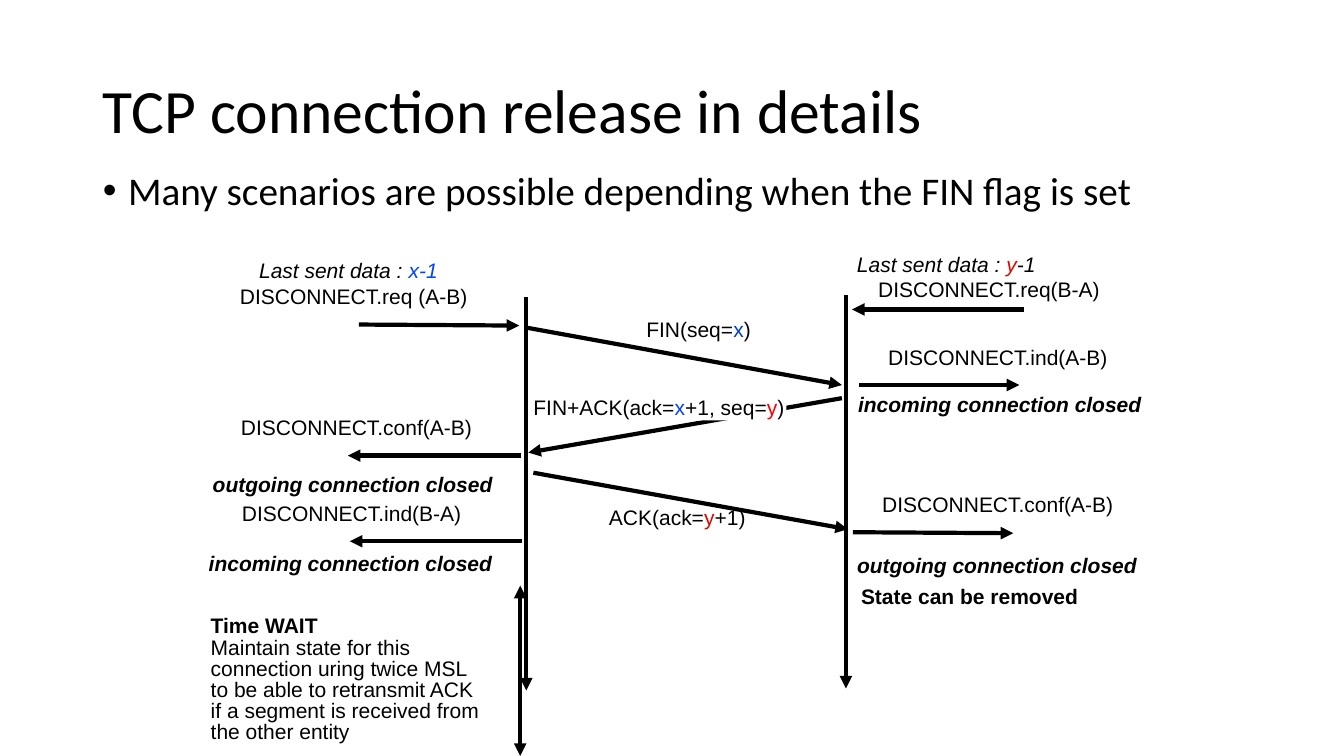
from lxml import etree
from pptx import Presentation
from pptx.dml.color import RGBColor
from pptx.enum.shapes import MSO_CONNECTOR
from pptx.enum.text import MSO_ANCHOR, MSO_AUTO_SIZE, PP_ALIGN
from pptx.oxml.ns import qn
from pptx.util import Inches, Pt

STRAIGHT = MSO_CONNECTOR.STRAIGHT
TOP, MIDDLE = MSO_ANCHOR.TOP, MSO_ANCHOR.MIDDLE
NO_FIT, GROW = MSO_AUTO_SIZE.NONE, MSO_AUTO_SIZE.SHAPE_TO_FIT_TEXT
LEFT = PP_ALIGN.LEFT
BLACK, WHITE = "000000", "FFFFFF"
BLUE, BRIGHT_BLUE = "003DCC", "0044FE"
RED, BRIGHT_RED = "D90B00", "FF0000"
LABEL_HEIGHT, STATE_HEIGHT = 0.22, 0.25

SENDER_X, RECEIVER_X = 5.22, 8.39

ARROWS = [
    (SENDER_X, 2.95, SENDER_X, 6.85),
    (RECEIVER_X, 2.93, RECEIVER_X, 6.83),
    (SENDER_X, 3.25, 8.35, 3.82),
    (3.56, 3.22, 5.15, 3.23),
    (8.52, 3.82, 10.11, 3.82),
    (8.35, 3.95, 5.24, 4.49),
    (5.17, 4.52, 3.45, 4.52),
    (5.29, 4.69, 8.41, 5.25),
    (8.46, 5.28, 10.05, 5.29),
    (10.16, 3.07, 8.45, 3.07),
    (5.18, 5.37, 3.47, 5.37),
]

PRIMITIVES = [
    (2.38, 2.85, 2.28, "DISCONNECT.req (A-B)"),
    (8.81, 3.45, 2.2, "DISCONNECT.ind(A-B)"),
    (2.39, 4.15, 2.31, "DISCONNECT.conf(A-B)"),
    (8.75, 4.91, 2.31, "DISCONNECT.conf(A-B)"),
    (8.71, 2.78, 2.22, "DISCONNECT.req(B-A)"),
    (2.4, 5, 2.2, "DISCONNECT.ind(B-A)"),
]

SEGMENTS = [
    (6.41, 3.17, 1.05, [("FIN(seq=", None), ("x", BLUE), (")", None)], None),
    (5.29, 3.95, 2.51, [("FIN+ACK(ack=", None), ("x", BRIGHT_BLUE), ("+1, seq=", None),
                        ("y", BRIGHT_RED), (")", None)], WHITE),
    (6.04, 5.04, 1.37, [("ACK(ack=", None), ("y", RED), ("+1)", None)], None),
]

LAST_DATA = [
    (2.57, 2.59, [("Last sent data : ", None), ("x-1", BRIGHT_BLUE)]),
    (8.5, 2.53, [("Last sent data : ", None), ("y", RED), ("-1", None)]),
]

CLOSED_STATES = [
    (2.11, 4.69, 2.85, "outgoing connection closed"),
    (8.51, 3.89, 2.88, "incoming connection closed"),
    (2.07, 5.47, 2.88, "incoming connection closed"),
    (8.5, 5.49, 2.85, "outgoing connection closed"),
]

TIME_WAIT = [
    "Time WAIT",
    "Maintain state for this\vconnection uring twice MSL",
    "to be able to retransmit ACK",
    "if a segment is received from",
    "the other entity",
]


def colour(value):
    """Turn a hex string into a colour."""
    return RGBColor.from_string(value)


class SlideBuilder:
    """Holds the style and the current slide."""

    heading_font = "Calibri"
    label_font = "Arial"
    label_size = 15
    line_width = 3

    def __init__(self, page):
        """Keep the slide to draw on."""
        self.page = page

    def style(self, para, name, size, bold=False, italic=False):
        """Set the font of a whole paragraph."""
        font = para.font
        font.name, font.size = name, Pt(size)
        font.bold, font.italic = bold, italic
        font.color.rgb = colour(BLACK)

    def placeholder(self, box, text, size, place, anchor, bullet=None):
        """Place and fill a title or body placeholder."""
        box.left, box.top, box.width, box.height = map(Inches, place)
        frame = box.text_frame
        frame.text = text
        frame.word_wrap, frame.auto_size = True, NO_FIT
        frame.vertical_anchor = anchor
        para = frame.paragraphs[0]
        para.alignment, para.line_spacing, para.space_before = LEFT, 0.9, Pt(0)
        if bullet:
            properties = para._p.get_or_add_pPr()
            properties.set("marL", str(Inches(0.25)))
            properties.set("indent", str(Inches(-0.25)))
            etree.SubElement(properties, qn("a:buChar"), char=bullet)
        self.style(para, self.heading_font, size)

    def arrow(self, start_x, start_y, end_x, end_y, both=False):
        """Draw a line with an arrowhead at its end, or at both ends."""
        line = self.page.shapes.add_connector(
            STRAIGHT, *map(Inches, (start_x, start_y, end_x, end_y)))
        line.line.color.rgb = colour(BLACK)
        line.line.width = Pt(self.line_width)
        outline = line.line._get_or_add_ln()
        for end in ("a:headEnd", "a:tailEnd") if both else ("a:tailEnd",):
            etree.SubElement(outline, qn(end), type="triangle")
        etree.SubElement(line._element.spPr, qn("a:effectLst"))

    def text_box(self, left, top, width, height, fill=None):
        """Add an unwrapped text box without margins."""
        box = self.page.shapes.add_textbox(*map(Inches, (left, top, width, height)))
        if fill:
            box.fill.solid()
            box.fill.fore_color.rgb = colour(fill)
        frame = box.text_frame
        frame.margin_left = frame.margin_top = frame.margin_right = frame.margin_bottom = 0
        frame.word_wrap, frame.auto_size = False, GROW
        frame.vertical_anchor = MIDDLE
        return frame

    def label(self, left, top, width, spans, fill=None, height=LABEL_HEIGHT,
              spacing=0.84, bold=False, italic=False):
        """Write one line of text whose spans may have their own colours."""
        para = self.text_box(left, top, width, height, fill).paragraphs[0]
        para.line_spacing = spacing
        self.style(para, self.label_font, self.label_size, bold, italic)
        for text, tint in spans:
            span = para.add_run()
            span.text = text
            if tint:
                span.font.color.rgb = colour(tint)

    def note(self, left, top, width, height, lines):
        """Write a block of lines under a bold first line."""
        frame = self.text_box(left, top, width, height)
        for number, text in enumerate(lines):
            para = frame.add_paragraph() if number else frame.paragraphs[0]
            para.text = text
            para.line_spacing = 0.84
            self.style(para, self.label_font, self.label_size, bold=number == 0)


def main():
    """Build the slide and save it."""
    deck = Presentation()
    deck.slide_width, deck.slide_height = Inches(13.33), Inches(7.5)
    page = deck.slides.add_slide(deck.slide_layouts[1])
    builder = SlideBuilder(page)
    builder.placeholder(page.shapes.title, "TCP connection release in details",
                        44, (0.92, 0.4, 11.5, 1.45), MIDDLE)
    builder.placeholder(page.placeholders[1],
                        "Many scenarios are possible depending when the FIN flag is set",
                        28, (0.92, 1.65, 11.5, 4.76), TOP, bullet="•")
    for ends in ARROWS:
        builder.arrow(*ends)
    builder.arrow(5.16, 5.81, 5.16, 7.5, both=True)
    for left, top, width, text in PRIMITIVES:
        builder.label(left, top, width, [(text, None)])
    for left, top, width, spans, fill in SEGMENTS:
        builder.label(left, top, width, spans, fill)
    for left, top, spans in LAST_DATA:
        builder.label(left, top, 1.83, spans, italic=True)
    for left, top, width, text in CLOSED_STATES:
        builder.label(left, top, width, [(text, None)], height=STATE_HEIGHT,
                      spacing=0.97, bold=True, italic=True)
    builder.label(8.54, 5.82, 2.17, [("State can be removed", None)], bold=True)
    builder.note(2.09, 6.11, 2.75, 1.28, TIME_WAIT)
    deck.save("out.pptx")


if __name__ == "__main__":
    main()
